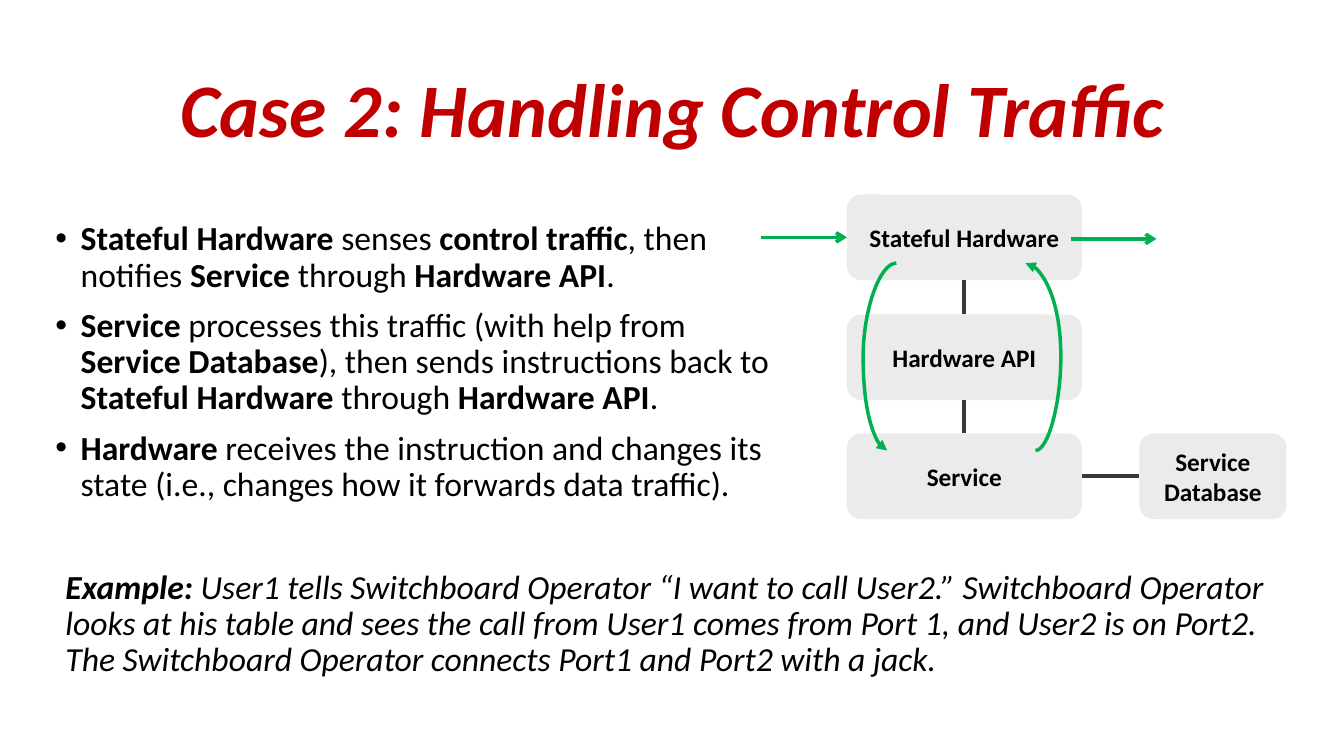
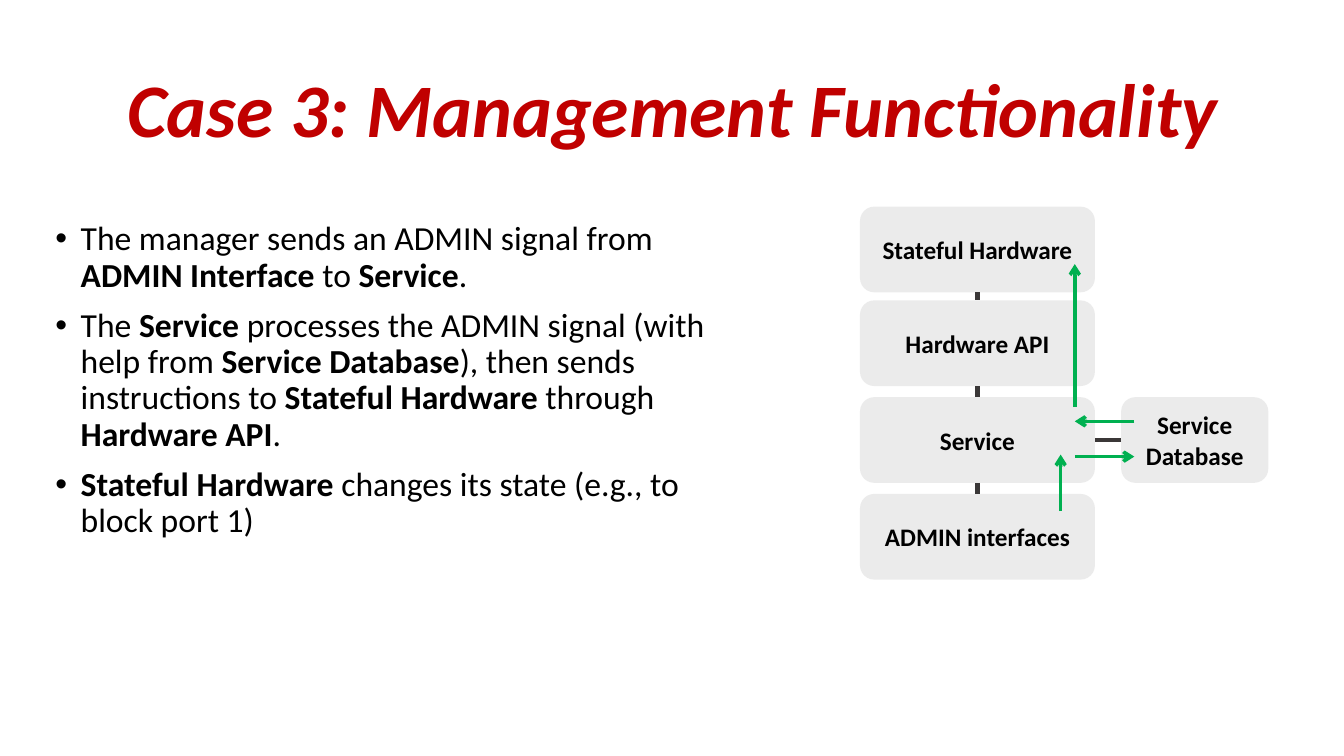
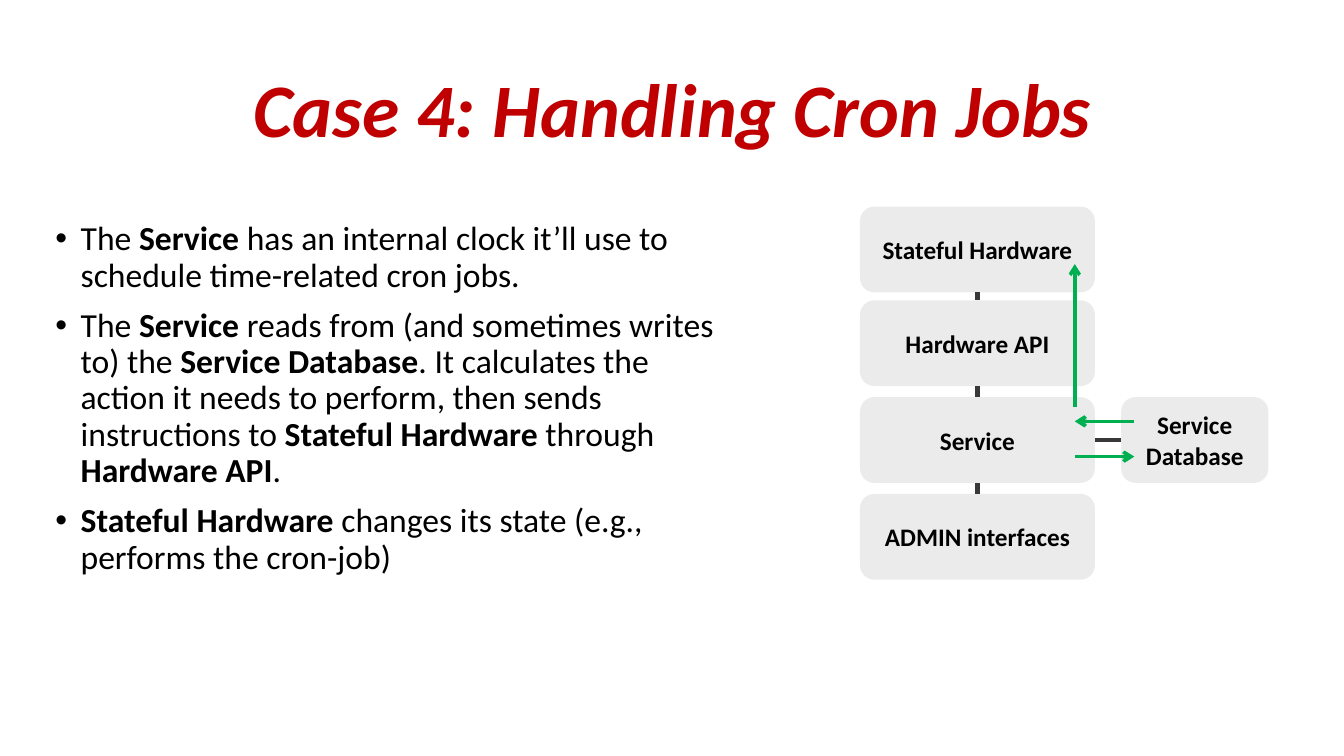
import pptx
import pptx.dml.color
import pptx.enum.shapes
import pptx.enum.text
import pptx.oxml
import pptx.oxml.ns
import pptx.util

PX = 9144  # EMU per px, 100 px to the inch
SLIDE_SIZE = (1333, 750)
COLORS = {"title": "C00000", "text": "000000", "box": "D9D9D9",
          "link": "3B3838", "flow": "00B050"}
FONTS = {
    "title": {"name": "Calibri", "size": pptx.util.Pt(54), "bold": True, "italic": True},
    "body": {"name": "Calibri", "size": pptx.util.Pt(24), "italic": False},
    "example": {"name": "Calibri", "size": pptx.util.Pt(24), "italic": True},
    "label": {"name": "Calibri", "size": pptx.util.Pt(18), "bold": True},
}
LINK_WIDTH, FLOW_WIDTH = 3, 2.5
TITLE_AT = (92, 40, 1150, 145)
EXAMPLE_AT = (55, 561, 1209, 150)
BODY_LEFT, BODY_TOP, BODY_HEIGHT = 45, 215, 476
BULLET_INDENT = 25
BOX_WIDTH, DATABASE_WIDTH, BOX_HEIGHT = 233, 146, 85
TOP, LEFT, BOTTOM, RIGHT = range(4)
HARDWARE, API, SERVICE, ADMIN, DATABASE = (
    "Stateful Hardware", "Hardware API", "Service", "ADMIN interfaces", "Service Database")

# Flows run from the first point to the second, with the arrowhead at the second.
ADMIN_FLOW = (1052, 507, 1052, 451)
CRON_FLOWS = [(1066, 453, 1125, 453), (1125, 418, 1066, 418), (1066, 404, 1066, 262)]
CONTROL_STACK = {
    "left": 840, "database_left": 1130,
    "tops": {HARDWARE: 193, API: 312, SERVICE: 430},
}
ADMIN_STACK = {
    "left": 853, "database_left": 1112,
    "tops": {HARDWARE: 205, API: 298, SERVICE: 394, ADMIN: 490},
}

# Text between ** marks is bold.
CASES = [
    {
        "title": "Case 2: Handling Control Traffic",
        "body_width": 728,
        "points": [
            "**Stateful Hardware **senses **control traffic**, then notifies **Service**"
            " through **Hardware API**.",
            "**Service **processes this traffic (with help from **Service Database**), then"
            " sends instructions back to **Stateful Hardware** through **Hardware API**.",
            "**Hardware **receives the instruction and changes its state (i.e., changes how"
            " it forwards data traffic).",
        ],
        "stack": CONTROL_STACK,
        "inflow": (755, 237),
        "flows": [(1062, 237, 1147, 237)],
        "curves": [
            {"points": (1017, 261, 1027, 447), "bend": 352000, "turn": 0, "end": "headEnd"},
            {"points": (880, 447, 889, 261), "bend": 365900, "turn": 180, "end": "tailEnd"},
        ],
        "example": "**Example: **User1 tells Switchboard Operator “I want to call User2.”"
                   " Switchboard Operator looks at his table and sees the call from User1"
                   " comes from Port 1, and User2 is on Port2. The Switchboard Operator"
                   " connects Port1 and Port2 with a jack.",
    },
    {
        "title": "Case 3: Management Functionality",
        "body_width": 689,
        "points": [
            "The manager sends an ADMIN signal from **ADMIN Interface** to **Service**.",
            "The **Service** processes the ADMIN signal (with help from **Service"
            " Database**), then sends instructions to **Stateful Hardware **through"
            " **Hardware API**.",
            "**Stateful Hardware** changes its state (e.g., to block port 1)",
        ],
        "stack": ADMIN_STACK,
        "flows": [ADMIN_FLOW, *CRON_FLOWS],
    },
    {
        "title": "Case 4: Handling Cron Jobs",
        "body_width": 689,
        "points": [
            "The **Service **has an internal clock it’ll use to schedule time-related cron"
            " jobs.",
            "The **Service** reads from (and sometimes writes to) the **Service Database**."
            " It calculates the action it needs to perform, then sends instructions to"
            " **Stateful Hardware **through **Hardware API**.",
            "**Stateful Hardware** changes its state (e.g., performs the cron-job)",
        ],
        "stack": ADMIN_STACK,
        "flows": CRON_FLOWS,
    },
]


def emu(lengths):
    return [length * PX for length in lengths]


def rgb(role):
    return pptx.dml.color.RGBColor.from_string(COLORS[role])


def add_child(parent, tag, **attributes):
    child = pptx.oxml.parse_xml(f"<a:{tag} {pptx.oxml.ns.nsdecls('a')}/>")
    for key, value in attributes.items():
        child.set(key, str(value))
    parent.append(child)
    return child


def place(holder, at):
    for side, length in zip(("left", "top", "width", "height"), emu(at)):
        setattr(holder, side, length)


def add_run(paragraph, text, style, color="text", **changes):
    run = paragraph.add_run()
    run.text = text
    for key, value in {**FONTS[style], **changes}.items():
        setattr(run.font, key, value)
    run.font.color.rgb = rgb(color)


def write_paragraphs(frame, texts, style, bulleted=False):
    frame.word_wrap = True
    frame.auto_size = pptx.enum.text.MSO_AUTO_SIZE.NONE
    for number, text in enumerate(texts):
        paragraph = frame.add_paragraph() if number else frame.paragraphs[0]
        paragraph.line_spacing = 0.9
        paragraph.space_before = pptx.util.Pt(10 if number else 0)
        if bulleted:
            properties = paragraph._p.get_or_add_pPr()
            properties.set("marL", str(BULLET_INDENT * PX))
            properties.set("indent", str(-BULLET_INDENT * PX))
        for part, words in enumerate(text.split("**")):
            if words:
                add_run(paragraph, words, style, bold=part % 2 == 1)


def write_title(title, text):
    place(title, TITLE_AT)
    frame = title.text_frame
    frame.auto_size = pptx.enum.text.MSO_AUTO_SIZE.NONE
    frame.vertical_anchor = pptx.enum.text.MSO_ANCHOR.MIDDLE
    heading = frame.paragraphs[0]
    heading.alignment = pptx.enum.text.PP_ALIGN.CENTER
    heading.line_spacing = 0.9
    add_run(heading, text, "title", "title")


def add_box(slide, label, left, top, width):
    box = slide.shapes.add_shape(pptx.enum.shapes.MSO_SHAPE.ROUNDED_RECTANGLE,
                                 *emu((left, top, width, BOX_HEIGHT)))
    box.shadow.inherit = False
    box.fill.solid()
    box.fill.fore_color.rgb = rgb("box")
    add_child(box.fill._xPr.solidFill[0], "alpha", val=50000)
    box.line.fill.background()
    box.text_frame.word_wrap = True
    box.text_frame.vertical_anchor = pptx.enum.text.MSO_ANCHOR.MIDDLE
    paragraph = box.text_frame.paragraphs[0]
    paragraph.alignment = pptx.enum.text.PP_ALIGN.CENTER
    add_run(paragraph, label, "label")
    return box


def add_line(slide, points, role, width, kind="STRAIGHT", **ends):
    """Draw a connector; ends maps headEnd or tailEnd to an arrowhead type."""
    line = slide.shapes.add_connector(pptx.enum.shapes.MSO_CONNECTOR[kind], *emu(points))
    line.line.color.rgb = rgb(role)
    line.line.width = pptx.util.Pt(width)
    for end, arrowhead in ends.items():
        add_child(line.line._get_or_add_ln(), end, type=arrowhead)
    add_child(line._element.spPr, "effectLst")
    return line


def add_link(slide, start, start_side, finish, finish_side):
    link = add_line(slide, (0, 0, 0, 0), "link", LINK_WIDTH)
    link.begin_connect(start, start_side)
    link.end_connect(finish, finish_side)


def add_curve(slide, points, bend, turn, end):
    curve = add_line(slide, points, "flow", FLOW_WIDTH, "CURVE", **{end: "triangle"})
    properties = curve._element.spPr
    if turn:
        properties.get_or_add_xfrm().set("rot", str(turn * 60000))
    geometry = properties.find(pptx.oxml.ns.qn("a:prstGeom"))
    for guides in list(geometry):
        geometry.remove(guides)
    add_child(add_child(geometry, "avLst"), "gd", name="adj1", fmla=f"val {bend}")


def add_diagram(slide, case):
    stack = case["stack"]
    boxes = {label: add_box(slide, label, stack["left"], top, BOX_WIDTH)
             for label, top in stack["tops"].items()}
    database = add_box(slide, DATABASE, stack["database_left"],
                       stack["tops"][SERVICE], DATABASE_WIDTH)
    layers = list(boxes.values())
    for upper, lower in zip(layers, layers[1:]):
        add_link(slide, upper, BOTTOM, lower, TOP)
    add_link(slide, database, LEFT, boxes[SERVICE], RIGHT)
    if "inflow" in case:
        inflow = add_line(slide, (*case["inflow"], stack["left"], case["inflow"][1]),
                          "flow", FLOW_WIDTH, tailEnd="arrow")
        inflow.end_connect(boxes[HARDWARE], LEFT)
        inflow.begin_y = inflow.end_y
    for points in case["flows"]:
        add_line(slide, points, "flow", FLOW_WIDTH, tailEnd="arrow")
    for curve in case.get("curves", []):
        add_curve(slide, **curve)


def main():
    deck = pptx.Presentation()
    deck.slide_width, deck.slide_height = emu(SLIDE_SIZE)
    for case in CASES:
        slide = deck.slides.add_slide(deck.slide_layouts[1])
        write_title(slide.shapes.title, case["title"])
        body = slide.placeholders[1]
        place(body, (BODY_LEFT, BODY_TOP, case["body_width"], BODY_HEIGHT))
        write_paragraphs(body.text_frame, case["points"], "body", bulleted=True)
        add_diagram(slide, case)
        if "example" in case:
            example = slide.shapes.add_textbox(*emu(EXAMPLE_AT))
            write_paragraphs(example.text_frame, [case["example"]], "example")
    deck.save("out.pptx")


if __name__ == "__main__":
    main()
